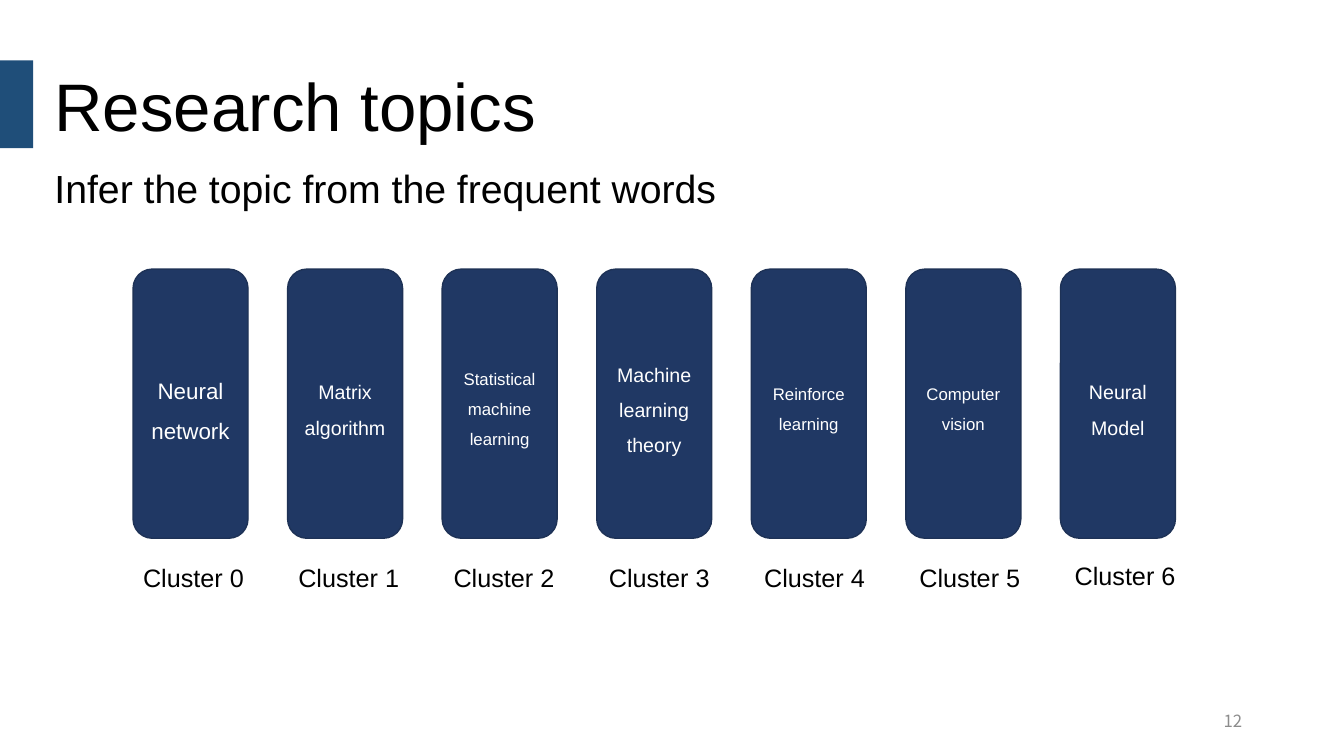
import pptx
import pptx.dml.color
import pptx.enum.shapes
import pptx.enum.text
import pptx.oxml.ns
import pptx.util
from lxml import etree
from pptx.util import Inches

ALIGN = pptx.enum.text.PP_ALIGN
ANCHOR = pptx.enum.text.MSO_ANCHOR
SHAPE = pptx.enum.shapes.MSO_SHAPE

THEME = {
    "font": "Arial", "number_font": "Noto Sans CJK SC",
    "black": "000000", "white": "FFFFFF", "grey": "8C8C8C",
    "accent": "1F4E79", "card": "203864", "card_line": "1E3256",
    "title": 48, "body": 28, "label": 18, "number": 12,
    "large": 16, "medium": 14, "small": 12,
}


def color(name):
    return pptx.dml.color.RGBColor.from_string(THEME[name])


def write(shape, text, size, font="font", ink="black", align=ALIGN.LEFT,
          anchor=ANCHOR.TOP, spacing=1.0, wrap=True, bullet=True):
    frame = shape.text_frame
    frame.auto_size = pptx.enum.text.MSO_AUTO_SIZE.NONE
    frame.word_wrap = wrap
    frame.vertical_anchor = anchor
    frame.text = text
    paragraph = frame.paragraphs[0]
    paragraph.alignment = align
    paragraph.line_spacing = spacing
    paragraph.space_before = pptx.util.Pt(0)
    if not bullet:
        properties = paragraph._p.get_or_add_pPr()
        properties.set("marL", "0")
        properties.set("indent", "0")
        etree.SubElement(properties, pptx.oxml.ns.qn("a:buNone"))
    run_font = paragraph.runs[0].font
    run_font.name = THEME[font]
    run_font.size = pptx.util.Pt(THEME[size])
    run_font.color.rgb = color(ink)


presentation = pptx.Presentation()
presentation.slide_width = Inches(13.33)
presentation.slide_height = Inches(7.5)
slide = presentation.slides.add_slide(presentation.slide_layouts[1])

# Accent bar
bar = slide.shapes.add_shape(SHAPE.RECTANGLE, Inches(0), Inches(0.6), Inches(0.33), Inches(0.87))
bar.shadow.inherit = False
bar.fill.solid()
bar.fill.fore_color.rgb = color("accent")
bar.line.fill.background()

# Title and subtitle
title = slide.shapes.title
title.left, title.top, title.width, title.height = map(Inches, (0.44, 0.4, 11.32, 1.38))
write(title, "Research topics", "title", anchor=ANCHOR.MIDDLE, spacing=0.9)

body = slide.placeholders[1]
body.left, body.top, body.width, body.height = map(Inches, (0.44, 1.63, 7.87, 1.03))
write(body, "Infer the topic from the frequent words", "body", spacing=0.9, bullet=False)

# Topic cards with cluster labels
topics = [
    ("Neural network", "large"),
    ("Matrix algorithm", "medium"),
    ("Statistical machine learning", "small"),
    ("Machine learning theory", "medium"),
    ("Reinforce learning", "small"),
    ("Computer vision", "small"),
    ("Neural Model", "medium"),
]
LEFT, CARD_PITCH, LABEL_PITCH = 1.32, 1.533, 1.54
for index, (topic, size) in enumerate(topics):
    card = slide.shapes.add_shape(SHAPE.ROUNDED_RECTANGLE, Inches(LEFT + index * CARD_PITCH),
                                  Inches(2.67), Inches(1.14), Inches(2.67))
    card.shadow.inherit = False
    card.fill.solid()
    card.fill.fore_color.rgb = color("card")
    card.line.color.rgb = color("card_line")
    card.line.width = pptx.util.Pt(1)
    write(card, topic, size, ink="white", align=ALIGN.CENTER, anchor=ANCHOR.MIDDLE, spacing=1.5)

    label_top = 5.51 if index == len(topics) - 1 else 5.53
    label = slide.shapes.add_textbox(Inches(LEFT + index * LABEL_PITCH), Inches(label_top),
                                     Inches(1.21), Inches(0.4))
    write(label, f"Cluster {index}", "label", wrap=False)

# Slide number
number = slide.shapes.add_textbox(Inches(9.42), Inches(6.95), Inches(3), Inches(0.4))
write(number, "12", "number", font="number_font", ink="grey", align=ALIGN.RIGHT, anchor=ANCHOR.MIDDLE)

presentation.save("out.pptx")
